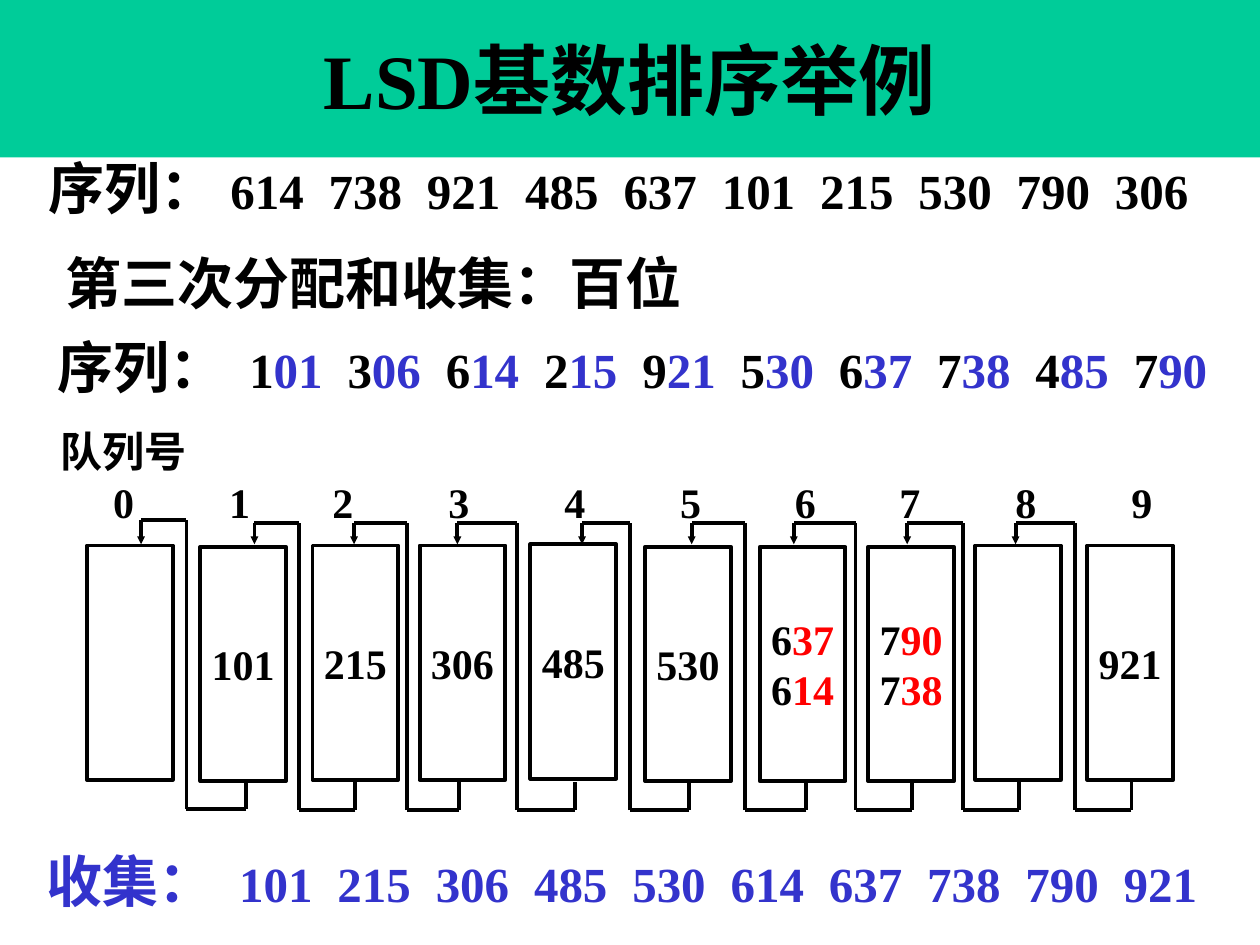
"""Build the slide that shows the third pass of an LSD radix sort."""
from dataclasses import dataclass
from itertools import pairwise

import pptx
import pptx.dml.color
import pptx.enum.shapes
import pptx.enum.text
import pptx.oxml
import pptx.oxml.ns
import pptx.util
from pptx.util import Inches


@dataclass(frozen=True)
class Theme:
    """Colours, font and type sizes of the slide."""
    band: str = "00CC99"
    ink: str = "000000"
    blue: str = "3333CC"
    red: str = "FF0000"
    font: str = "Times New Roman"
    title: int = 44
    label: int = 32
    number: int = 28
    queue: int = 24
    line: float = 2.25


THEME = Theme()
INPUT = "614 738 921 485 637 101 215 530 790 306".split()
BY_TENS = "101 306 614 215 921 530 637 738 485 790".split()
SORTED = "101 215 306 485 530 614 637 738 790 921".split()
NUMBER_PITCH = 0.78
DIGIT_TABS = [0.42, 1.34, 2.16, 3.08, 4.0, 4.92, 5.83, 6.66, 7.58, 8.5]
QUEUE_WIDTH, QUEUE_HEIGHT = 0.68, 1.86
QUEUES = [
    (0.69, 4.33, []), (1.59, 4.34, ["101"]), (2.48, 4.33, ["215"]),
    (3.33, 4.33, ["306"]), (4.21, 4.32, ["485"]), (5.12, 4.34, ["530"]),
    (6.03, 4.34, ["637", "614"]), (6.89, 4.34, ["790", "738"]),
    (7.74, 4.33, []), (8.63, 4.33, ["921"]),
]
LINKS = [
    (1.95, 1.48, 1.12), (2.82, 2.37, 2.02), (3.64, 3.23, 2.81),
    (4.56, 4.1, 3.63), (5.47, 5, 4.62), (6.4, 5.91, 5.49),
    (7.24, 6.79, 6.3), (8.09, 7.64, 7.2), (8.98, 8.53, 8.06),
]


def rgb(color):
    """Return the colour object for a hex string."""
    return pptx.dml.color.RGBColor.from_string(color)


def add_runs(paragraph, pieces):
    """Fill a paragraph with (text, size, colour) pieces."""
    for text, size, color in pieces:
        run = paragraph.add_run()
        run.text = text
        run.font.size = pptx.util.Pt(size)
        run.font.bold = True
        run.font.name = THEME.font
        run.font.color.rgb = rgb(color)


def set_tabs(paragraph, positions):
    """Give a paragraph left tab stops at positions in inches."""
    properties = paragraph._p.get_or_add_pPr()
    tab_list = pptx.oxml.parse_xml(f"<a:tabLst {pptx.oxml.ns.nsdecls('a')}/>")
    for position in positions:
        tab = tab_list.makeelement(pptx.oxml.ns.qn("a:tab"), {"pos": str(Inches(position)), "algn": "l"})
        tab_list.append(tab)
    properties.append(tab_list)


def add_text(slide, left, top, width, height, pieces):
    """Add a wrapping text box and return its text frame."""
    box = slide.shapes.add_textbox(Inches(left), Inches(top), Inches(width), Inches(height))
    text_frame = box.text_frame
    text_frame.word_wrap = True
    text_frame.auto_size = pptx.enum.text.MSO_AUTO_SIZE.SHAPE_TO_FIT_TEXT
    add_runs(text_frame.paragraphs[0], pieces)
    return text_frame


def split_number(number, size, rest):
    """Return pieces with the leading digit in ink and the rest coloured."""
    return [(number[0], size, THEME.ink), (number[1:], size, rest)]


def add_sequence(slide, box, label, numbers, start, color, rest, spacing):
    """Add a labelled row of numbers on evenly spaced tab stops."""
    pieces = [(label, THEME.label, color)]
    for number in numbers:
        pieces.append(("\t", THEME.number, color))
        if rest == color:
            pieces.append((number, THEME.number, color))
        else:
            pieces += split_number(number, THEME.number, rest)
    paragraph = add_text(slide, *box, pieces).paragraphs[0]
    paragraph.line_spacing = spacing
    set_tabs(paragraph, [start + NUMBER_PITCH * index for index in range(len(numbers))])


def add_rectangle(slide, left, top, width, height, lines):
    """Add a plain rectangle with centred lines of pieces."""
    shape = slide.shapes.add_shape(
        pptx.enum.shapes.MSO_SHAPE.RECTANGLE, Inches(left), Inches(top), Inches(width), Inches(height))
    shape.shadow.inherit = False
    text_frame = shape.text_frame
    text_frame.word_wrap = False
    text_frame.vertical_anchor = pptx.enum.text.MSO_ANCHOR.MIDDLE
    text_frame.margin_left = text_frame.margin_right = 0
    text_frame.margin_top = text_frame.margin_bottom = 0
    for index, pieces in enumerate(lines):
        paragraph = text_frame.add_paragraph() if index else text_frame.paragraphs[0]
        paragraph.alignment = pptx.enum.text.PP_ALIGN.CENTER
        add_runs(paragraph, pieces)
    return shape


def add_title(slide, text):
    """Add the title band across the top."""
    band = add_rectangle(slide, 0, 0, 10, 1.25, [[(text, THEME.title, THEME.ink)]])
    band.fill.solid()
    band.fill.fore_color.rgb = rgb(THEME.band)
    band.line.fill.background()


def add_queue(slide, left, top, numbers):
    """Add one queue box, marking low digits where numbers share it."""
    rest = THEME.red if len(numbers) > 1 else THEME.ink
    lines = [split_number(number, THEME.queue, rest) if len(numbers) > 1
             else [(number, THEME.queue, rest)] for number in numbers]
    queue = add_rectangle(slide, left, top, QUEUE_WIDTH, QUEUE_HEIGHT, lines)
    queue.fill.background()
    queue.line.color.rgb = rgb(THEME.ink)
    queue.line.width = pptx.util.Pt(THEME.line)


def add_line(slide, start, end, arrow):
    """Add a straight line, with an arrowhead at its end if wanted."""
    line = slide.shapes.add_connector(
        pptx.enum.shapes.MSO_CONNECTOR.STRAIGHT, *map(Inches, start + end))
    line.line.color.rgb = rgb(THEME.ink)
    line.line.width = pptx.util.Pt(THEME.line)
    namespace = pptx.oxml.ns.nsdecls("a")
    if arrow:
        line.line._get_or_add_ln().append(
            pptx.oxml.parse_xml(f'<a:tailEnd {namespace} type="triangle" w="sm" len="sm"/>'))
    line._element.spPr.append(pptx.oxml.parse_xml(f"<a:effectLst {namespace}/>"))


def add_link(slide, source, channel, target, top, bottom):
    """Lead from the foot of one queue to the head of the queue before it."""
    points = [(source, 6.21), (source, bottom), (channel, bottom),
              (channel, top), (target, top), (target, 4.32)]
    for start, end in pairwise(points):
        add_line(slide, start, end, end == points[-1])


def main():
    """Build and save the slide."""
    presentation = pptx.Presentation()
    presentation.slide_width, presentation.slide_height = Inches(10), Inches(7.5)
    slide = presentation.slides.add_slide(presentation.slide_layouts[6])
    add_title(slide, "LSD基数排序举例")
    add_sequence(slide, (0.29, 1.23, 9.38, 0.59), "序列：", INPUT, 1.44, THEME.ink, THEME.ink, 0.9)
    add_sequence(slide, (0.27, 6.67, 9.52, 0.63), "收集：", SORTED, 1.53, THEME.blue, THEME.blue, 1.0)
    add_text(slide, 0.42, 1.92, 7.24, 0.63, [("第三次分配和收集：百位", THEME.label, THEME.ink)])
    add_sequence(slide, (0.36, 2.65, 9.38, 0.59), "序列：", BY_TENS, 1.52, THEME.ink, THEME.blue, 0.9)
    header = add_text(slide, 0.38, 3.33, 9.11, 0.91, [("队列号", THEME.queue, THEME.ink)])
    digits = header.add_paragraph()
    add_runs(digits, [("".join(f"\t{digit}" for digit in range(10)), THEME.queue, THEME.ink)])
    set_tabs(digits, DIGIT_TABS)
    for index, link in enumerate(LINKS):
        add_link(slide, *link, top=4.15 if index else 4.13, bottom=6.43 if index else 6.42)
    for queue in QUEUES:
        add_queue(slide, *queue)
    presentation.save("out.pptx")


if __name__ == "__main__":
    main()
